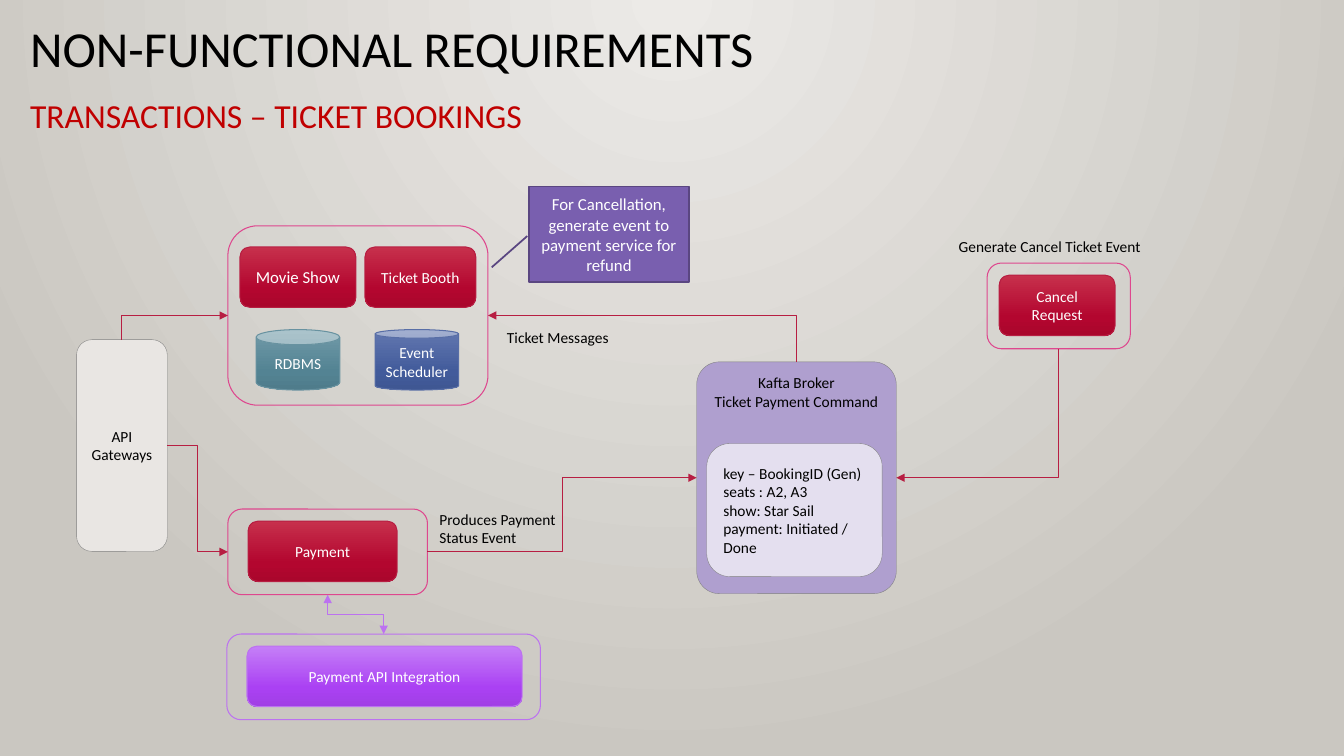
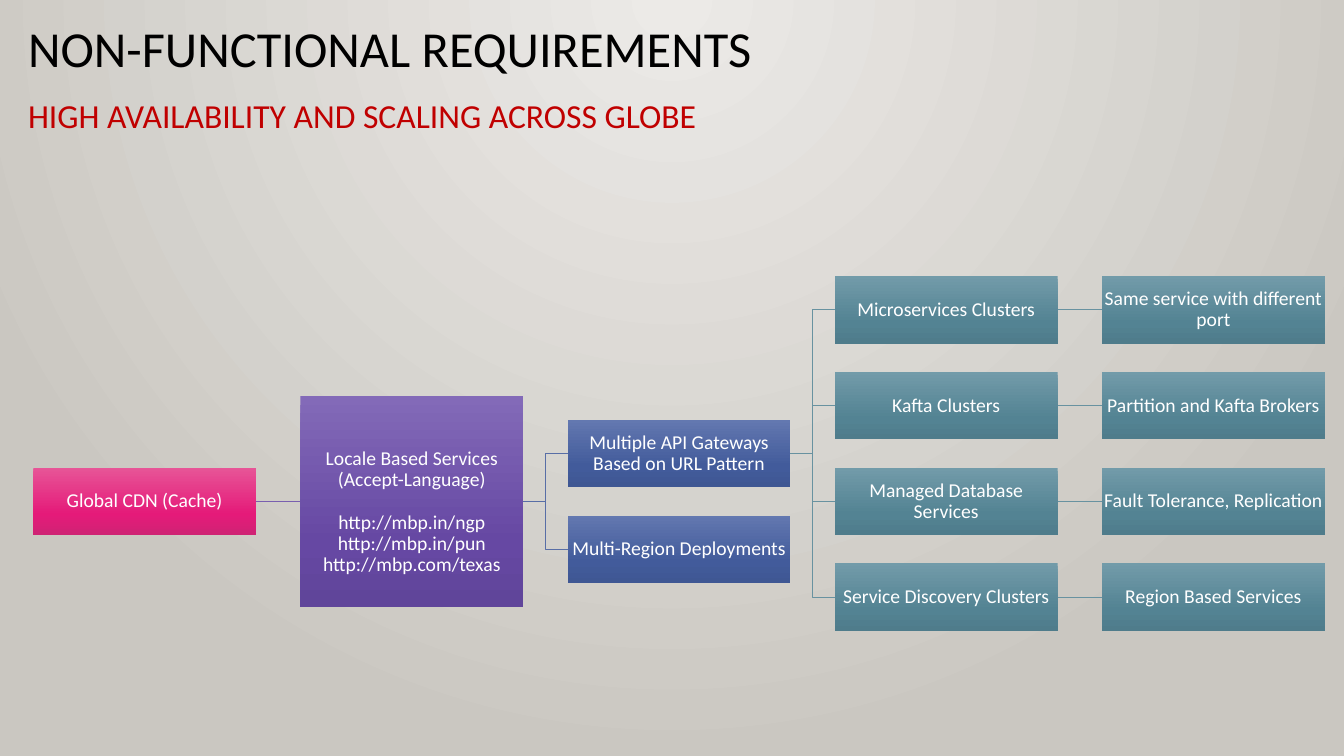
from typing import NamedTuple

from lxml.etree import SubElement
from pptx import Presentation
from pptx.dml.color import RGBColor
from pptx.enum.shapes import MSO_CONNECTOR, MSO_SHAPE
from pptx.enum.text import MSO_ANCHOR, PP_ALIGN
from pptx.oxml import parse_xml
from pptx.oxml.ns import nsdecls, qn
from pptx.util import Inches, Pt

FONT = "Calibri"
BLACK = RGBColor(0x00, 0x00, 0x00)
WHITE = RGBColor(0xFF, 0xFF, 0xFF)
SUBTITLE_RED = RGBColor(0xC0, 0x00, 0x00)
LIGHT_GREY = RGBColor(0xE9, 0xE6, 0xE3)
GREY = RGBColor(0x80, 0x80, 0x80)
LAVENDER = RGBColor(0xAF, 0x9F, 0xCF)
PALE_LAVENDER = RGBColor(0xE4, 0xDF, 0xEF)
PURPLE = RGBColor(0x79, 0x5F, 0xAF)
DARK_PURPLE = RGBColor(0x5A, 0x46, 0x81)
PINK = RGBColor(0xDE, 0x47, 0x8E)
BACKDROP = ((0, RGBColor(0xEC, 0xEA, 0xE7)), (100, RGBColor(0xCA, 0xC7, 0xC1)))
LINEAR = '<a:lin ang="5400000" scaled="0"/>'
CIRCULAR = '<a:path path="circle"><a:fillToRect l="43000" r="43000" b="100000"/></a:path>'
TOP, LEFT, BOTTOM, RIGHT = range(4)


class Style(NamedTuple):
    start: RGBColor
    middle: RGBColor
    end: RGBColor
    line: RGBColor


RED = Style(RGBColor(0xC7, 0x30, 0x4C), RGBColor(0xB3, 0x06, 0x2F),
            RGBColor(0xAA, 0x06, 0x2C), RGBColor(0xB7, 0x1E, 0x42))
VIOLET = Style(RGBColor(0xC5, 0x7F, 0xF7), RGBColor(0xAA, 0x41, 0xF3),
               RGBColor(0xA1, 0x3F, 0xE5), RGBColor(0xBC, 0x72, 0xF0))
TEAL = Style(RGBColor(0x72, 0x9B, 0xA9), RGBColor(0x53, 0x83, 0x93),
             RGBColor(0x4F, 0x7C, 0x8B), RGBColor(0x68, 0x92, 0xA0))
BLUE = Style(RGBColor(0x63, 0x78, 0xB0), RGBColor(0x42, 0x5B, 0x9B),
             RGBColor(0x3F, 0x57, 0x93), RGBColor(0x58, 0x6E, 0xA6))
MAGENTA = Style(RGBColor(0xE7, 0x55, 0x97), RGBColor(0xE5, 0x1A, 0x79),
                RGBColor(0xCF, 0x23, 0x74), PINK)
INDIGO = Style(RGBColor(0x83, 0x6A, 0xB8), RGBColor(0x66, 0x48, 0xA3),
               RGBColor(0x60, 0x45, 0x9A), PURPLE)


class Box(NamedTuple):
    left: float
    top: float
    width: float
    height: float

    def inner(self, left, top, width, height):
        return Box(self.left + left, self.top + top, width, height)

    def lengths(self):
        return [Inches(value) for value in self]


def fill_gradient(fill, owner, stops, direction):
    fill.gradient()
    gradient = next(owner.iter(qn("a:gradFill")))
    stop_xml = "".join(
        f'<a:gs pos="{position * 1000}"><a:srgbClr val="{color}"/></a:gs>'
        for position, color in stops)
    gradient.getparent().replace(gradient, parse_xml(
        f'<a:gradFill {nsdecls("a")} rotWithShape="1">'
        f'<a:gsLst>{stop_xml}</a:gsLst>{direction}</a:gradFill>'))


def write_text(frame, lines, size, color, alignment=PP_ALIGN.LEFT,
               anchor=MSO_ANCHOR.TOP, spacing=None, wrap=True):
    frame.word_wrap = wrap
    frame.vertical_anchor = anchor
    for index, line in enumerate(lines):
        paragraph = frame.add_paragraph() if index else frame.paragraphs[0]
        paragraph.alignment = alignment
        if spacing:
            paragraph.line_spacing = spacing
        run = paragraph.add_run()
        run.text = line
        run.font.name = FONT
        run.font.size = Pt(size)
        run.font.color.rgb = color


def add_label(slide, box, lines, size=11, color=BLACK, **options):
    label = slide.shapes.add_textbox(*box.lengths())
    write_text(label.text_frame, lines, size, color, **options)


def add_block(slide, preset, box, fill=None, line=None, width=0.75, lines=(),
              size=11, color=WHITE, alignment=PP_ALIGN.CENTER,
              anchor=MSO_ANCHOR.MIDDLE, spacing=None, adjustments=()):
    shape = slide.shapes.add_shape(preset, *box.lengths())
    shape.shadow.inherit = False
    for index, value in enumerate(adjustments):
        shape.adjustments[index] = value
    if isinstance(fill, Style):
        stops = ((0, fill.start), (69, fill.middle), (100, fill.end))
        fill_gradient(shape.fill, shape._element, stops, LINEAR)
    elif fill is None:
        shape.fill.background()
    else:
        shape.fill.solid()
        shape.fill.fore_color.rgb = fill
    if line is None:
        shape.line.fill.background()
    else:
        shape.line.color.rgb = line
        shape.line.width = Pt(width)
    write_text(shape.text_frame, lines, size, color, alignment, anchor, spacing)
    return shape


def join(slide, kind, start, start_site, end, end_site, color, arrows=()):
    connector = slide.shapes.add_connector(kind, 0, 0, 0, 0)
    connector.begin_connect(start, start_site)
    connector.end_connect(end, end_site)
    connector.line.color.rgb = color
    connector.line.width = Pt(0.75)
    properties = connector._element.spPr
    for arrow in arrows:
        SubElement(properties.find(qn("a:ln")), qn(arrow), type="triangle")
    SubElement(properties, qn("a:effectLst"))
    if start_site in (TOP, BOTTOM):
        turn_upright(connector, end_site in (LEFT, RIGHT))


def turn_upright(connector, single_bend):
    across = connector.end_x - connector.begin_x
    down = connector.end_y - connector.begin_y
    middle_x = (connector.begin_x + connector.end_x) // 2
    middle_y = (connector.begin_y + connector.end_y) // 2
    connector.width, connector.height = abs(down), abs(across)
    connector.left = middle_x - connector.width // 2
    connector.top = middle_y - connector.height // 2
    transform = connector._element.spPr.find(qn("a:xfrm"))
    transform.set("rot", str((90 if down > 0 else 270) * 60000))
    transform.set("flipH", "0")
    transform.set("flipV", "1" if across * down > 0 else "0")
    if single_bend:
        geometry = connector._element.spPr.find(qn("a:prstGeom"))
        geometry.set("prst", "bentConnector2")


def add_slide(presentation, left, subtitle):
    slide = presentation.slides.add_slide(presentation.slide_layouts[6])
    add_label(slide, Box(left, 0.19, 12.97, 0.63),
              ["NON-FUNCTIONAL REQUIREMENTS"], 36, spacing=0.9)
    add_label(slide, Box(left, 0.94, 12.97, 0.63), [subtitle], 24,
              SUBTITLE_RED, spacing=0.9)
    return slide


def add_button(slide, box, text, style=RED, size=11):
    add_block(slide, MSO_SHAPE.ROUNDED_RECTANGLE, box, style, style.line,
              lines=[text], size=size)


def add_frame(slide, box, color=PINK):
    return add_block(slide, MSO_SHAPE.ROUNDED_RECTANGLE, box, line=color)


def add_framed_button(slide, box, inset, width, text, style=RED, color=PINK):
    add_button(slide, box.inner(inset, 0.12, width, 0.6), text, style)
    return add_frame(slide, box, color)


def add_booking_service(slide, box):
    add_button(slide, box.inner(0.12, 0.21, 1.15, 0.6), "Movie Show", size=12)
    add_button(slide, box.inner(1.36, 0.21, 1.1, 0.6), "Ticket Booth")
    stores = ((0.28, "RDBMS", TEAL, 0.25), (1.46, "Event Scheduler", BLUE, 0.143))
    for left, text, style, rim in stores:
        add_block(slide, MSO_SHAPE.CAN, box.inner(left, 1.03, 0.83, 0.6), style,
                  style.line, lines=[text], adjustments=[rim])
    add_block(slide, MSO_SHAPE.LINE_CALLOUT_1, box.inner(2.99, -0.39, 1.58, 0.95),
              PURPLE, DARK_PURPLE, 1.25,
              ["For Cancellation, generate event to payment service for refund"],
              size=12, adjustments=(0.518, -0.013, 0.844, -0.236))
    return add_frame(slide, box)


def add_broker(slide, box):
    broker = add_block(slide, MSO_SHAPE.ROUNDED_RECTANGLE, box, LAVENDER, GREY, 0.25,
                       ["Kafta Broker", "Ticket Payment Command"], color=BLACK,
                       anchor=MSO_ANCHOR.TOP, adjustments=[0.114])
    add_block(slide, MSO_SHAPE.ROUNDED_RECTANGLE, box.inner(0.1, 0.81, 1.74, 1.32),
              PALE_LAVENDER, GREY, 0.25,
              ["key – BookingID (Gen)", "seats : A2, A3", "show: Star Sail",
               "payment: Initiated / Done"],
              color=BLACK, alignment=PP_ALIGN.LEFT, adjustments=[0.173])
    return broker


def build_transactions(presentation):
    slide = add_slide(presentation, 0.2, "TRANSACTIONS – TICKET BOOKINGS")
    booking = add_booking_service(slide, Box(2.26, 2.24, 2.58, 1.78))
    payment = add_framed_button(slide, Box(2.26, 5.05, 1.98, 0.85), 0.2, 1.48, "Payment")
    integration = add_framed_button(slide, Box(2.25, 6.29, 3.11, 0.85), 0.2, 2.73,
                                    "Payment API Integration", VIOLET, VIOLET.line)
    cancel = add_framed_button(slide, Box(9.79, 2.61, 1.42, 0.85), 0.12, 1.15,
                               "Cancel Request")
    gateways = add_block(slide, MSO_SHAPE.ROUNDED_RECTANGLE, Box(0.76, 3.37, 0.9, 2.1),
                         LIGHT_GREY, GREY, 0.25, ["API Gateways"], color=BLACK)
    broker = add_broker(slide, Box(6.91, 3.59, 1.98, 2.3))
    routes = (
        (gateways, RIGHT, payment, LEFT),
        (gateways, TOP, booking, LEFT),
        (payment, RIGHT, broker, LEFT),
        (broker, TOP, booking, RIGHT),
        (cancel, BOTTOM, broker, RIGHT),
    )
    for route in routes:
        join(slide, MSO_CONNECTOR.ELBOW, *route, RED.line, ["a:tailEnd"])
    join(slide, MSO_CONNECTOR.ELBOW, integration, TOP, payment, BOTTOM, VIOLET.line,
         ["a:headEnd", "a:tailEnd"])
    labels = (
        (Box(4.26, 5.01, 1.4, 0.47), ["Produces Payment", "Status Event"]),
        (Box(4.93, 3.21, 1.22, 0.29), ["Ticket Messages"]),
        (Box(9.41, 2.3, 2.13, 0.29), ["Generate Cancel Ticket Event"]),
    )
    for box, lines in labels:
        add_label(slide, box, lines, wrap=False)


def add_tree(slide, box):
    node_width, node_height, column_step, row_step = 2.21, 0.67, 2.65, 0.95

    def add_node(column, row, lines, style, height=node_height):
        top = row * row_step - (height - node_height) / 2
        node = add_block(slide, MSO_SHAPE.RECTANGLE,
                         box.inner(column * column_step, top, node_width, height),
                         style, lines=lines, size=14, spacing=0.9)
        frame = node.text_frame
        frame.margin_left = frame.margin_right = Inches(0.01)
        frame.margin_top = frame.margin_bottom = Inches(0.01)
        return node

    network = add_node(0, 2, ["Global CDN (Cache)"], MAGENTA)
    locale = add_node(1, 2, ["Locale Based Services", "(Accept-Language)",
                             "http://mbp.in/ngp", "http://mbp.in/pun",
                             "http://mbp.com/texas"], INDIGO, 2.09)
    locale.text_frame.margin_top = Inches(0.22)
    locale.text_frame.paragraphs[2].space_before = Pt(15.4)
    join(slide, MSO_CONNECTOR.STRAIGHT, network, RIGHT, locale, LEFT, PURPLE)

    gateways = add_node(2, 1.5, ["Multiple API Gateways Based on URL Pattern"], BLUE)
    regions = add_node(2, 2.5, ["Multi-Region Deployments"], BLUE)
    for node in (gateways, regions):
        join(slide, MSO_CONNECTOR.ELBOW, locale, RIGHT, node, LEFT, BLUE.line)

    clusters = (
        ("Microservices Clusters", "Same service with different port"),
        ("Kafta Clusters", "Partition and Kafta Brokers"),
        ("Managed Database Services", "Fault Tolerance, Replication"),
        ("Service Discovery Clusters", "Region Based Services"),
    )
    for row, (name, detail) in enumerate(clusters):
        cluster = add_node(3, row, [name], TEAL)
        feature = add_node(4, row, [detail], TEAL)
        join(slide, MSO_CONNECTOR.ELBOW, gateways, RIGHT, cluster, LEFT, TEAL.line)
        join(slide, MSO_CONNECTOR.STRAIGHT, cluster, RIGHT, feature, LEFT, TEAL.line)


def build_availability(presentation):
    slide = add_slide(presentation, 0.18, "HIGH AVAILABILITY AND SCALING ACROSS GLOBE")
    add_tree(slide, Box(0.33, 2.74, 12.81, 3.52))


def main():
    presentation = Presentation()
    presentation.slide_width = Inches(13.33)
    presentation.slide_height = Inches(7.5)
    master = presentation.slide_master
    fill_gradient(master.background.fill, master._element, BACKDROP, CIRCULAR)
    build_transactions(presentation)
    build_availability(presentation)
    presentation.save("out.pptx")


if __name__ == "__main__":
    main()
